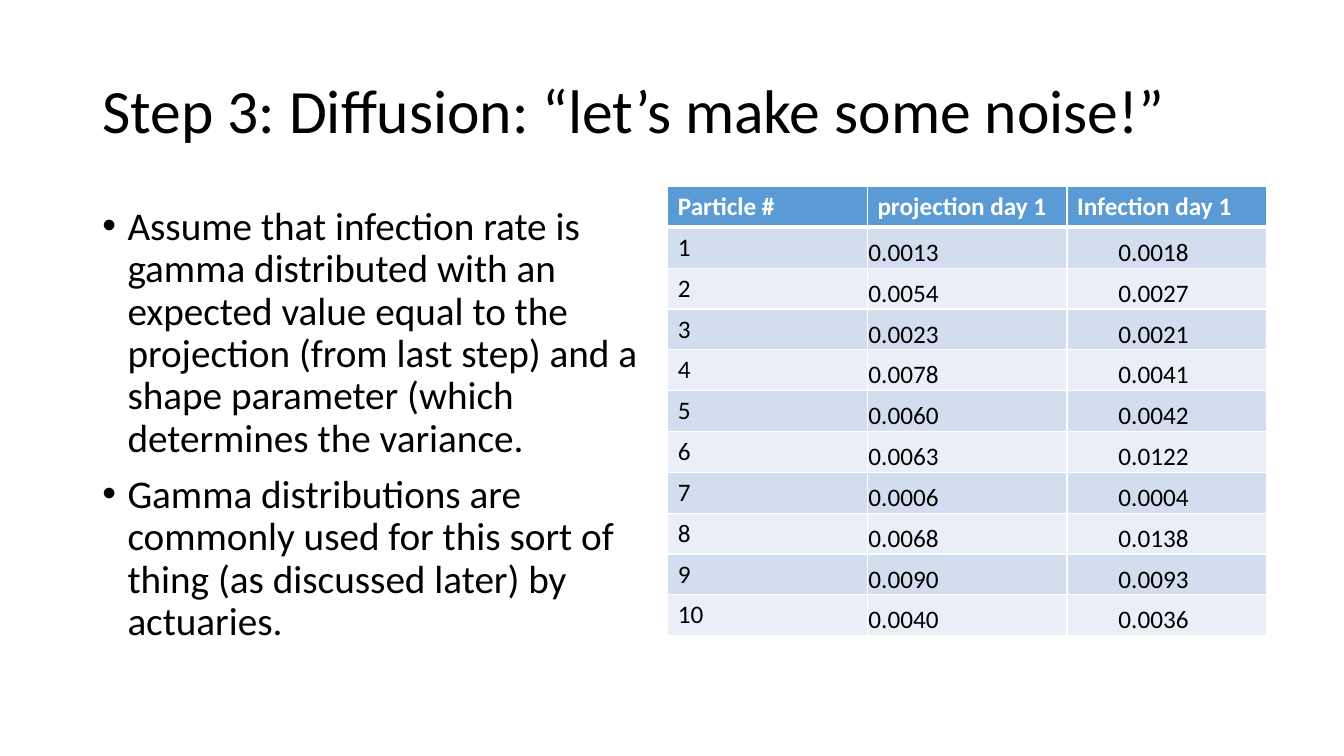
import dataclasses

import lxml.etree
import pptx
import pptx.dml.color
import pptx.enum.text
import pptx.oxml.ns
import pptx.util

ANCHOR = pptx.enum.text.MSO_ANCHOR


@dataclasses.dataclass(frozen=True)
class Theme:
    font: str = "Calibri"
    ink: str = "000000"
    paper: str = "FFFFFF"
    header: str = "5B9BD5"
    bands: tuple = ("D2DEEF", "EAEFF7")
    title_size: int = 44
    body_size: int = 28
    table_size: int = 18
    border: int = 1
    header_border: int = 3


def apply(target, formats):
    for name, value in formats.items():
        setattr(target, name, value)


def add_xml(parent, tag, **attributes):
    return lxml.etree.SubElement(parent, pptx.oxml.ns.qn(tag), attributes)


class Page:
    """One slide on a grid of 160 columns by 90 rows."""

    def __init__(self, deck, theme):
        self.theme = theme
        self.column = deck.slide_width / 160
        self.row = deck.slide_height / 90
        self.slide = deck.slides.add_slide(deck.slide_layouts[6])
        self.slide.background.fill.solid()
        self.slide.background.fill.fore_color.rgb = self.color(theme.paper)

    def color(self, value):
        return pptx.dml.color.RGBColor.from_string(value)

    def place(self, left, top, width, height):
        return (round(left * self.column), round(top * self.row),
                round(width * self.column), round(height * self.row))

    def add_span(self, para, text, size, color, bold=False):
        span = para.add_run()
        span.text = text
        apply(span.font, {"name": self.theme.font, "size": pptx.util.Pt(size), "bold": bold})
        span.font.color.rgb = self.color(color)

    def text(self, area, lines, size, anchor=ANCHOR.TOP, bullet=False):
        frame = self.slide.shapes.add_textbox(*self.place(*area)).text_frame
        apply(frame, {"word_wrap": True, "vertical_anchor": anchor})
        for index, line in enumerate(lines):
            para = frame.add_paragraph() if index else frame.paragraphs[0]
            apply(para, {"line_spacing": 0.9, "space_before": pptx.util.Pt(10 if index else 0)})
            if bullet:
                properties = para._p.get_or_add_pPr()
                indent = pptx.util.Inches(0.25)
                properties.set("marL", str(indent))
                properties.set("indent", str(-indent))
                add_xml(properties, "a:buFont", typeface="Arial")
                add_xml(properties, "a:buChar", char="•")
            self.add_span(para, line, size, self.theme.ink)

    def borders(self, cell, **widths):
        properties = cell._tc.get_or_add_tcPr()
        for side in "LRTB":
            width = pptx.util.Pt(widths.get(side, self.theme.border))
            line = add_xml(properties, f"a:ln{side}", w=str(width))
            add_xml(add_xml(line, "a:solidFill"), "a:srgbClr", val=self.theme.paper)

    def table(self, area, records):
        theme = self.theme
        place = self.place(*area)
        table = self.slide.shapes.add_table(len(records), len(records[0]), *place).table
        apply(table, {"first_row": True, "horz_banding": True})
        inset = pptx.util.Inches(0.01)
        figure = {"vertical_anchor": ANCHOR.BOTTOM, "margin_left": inset,
                  "margin_right": inset, "margin_top": inset, "margin_bottom": 0}
        for row, record in enumerate(records):
            table.rows[row].height = round(place[3] / len(records))
            for column, value in enumerate(record):
                cell = table.cell(row, column)
                para = cell.text_frame.paragraphs[0]
                # Header and bands
                heavy = {0: {"B": theme.header_border}, 1: {"T": theme.header_border}}
                self.borders(cell, **heavy.get(row, {}))
                cell.fill.solid()
                fill = theme.bands[(row - 1) % 2] if row else theme.header
                cell.fill.fore_color.rgb = self.color(fill)
                # Figures sit low in the cell, the last column is indented
                if row and column:
                    apply(cell, figure)
                if row and column == 2:
                    para.level = 1
                    para._p.get_or_add_pPr().set("marL", str(pptx.util.Inches(0.5)))
                self.add_span(para, value, theme.table_size,
                              theme.ink if row else theme.paper, bold=not row)


PROJECTIONS = (0.0013, 0.0054, 0.0023, 0.0078, 0.0060, 0.0063, 0.0006, 0.0068, 0.0090, 0.0040)
INFECTIONS = (0.0018, 0.0027, 0.0021, 0.0041, 0.0042, 0.0122, 0.0004, 0.0138, 0.0093, 0.0036)


def main():
    deck = pptx.Presentation()
    apply(deck, {"slide_width": pptx.util.Inches(13.33), "slide_height": pptx.util.Inches(7.5)})
    theme = Theme()
    page = Page(deck, theme)

    # Title
    page.text((11, 4.8, 138, 17.4), ["Step 3: Diffusion: “let’s make some noise!”"],
              theme.title_size, anchor=ANCHOR.MIDDLE)

    # Explanation
    page.text((11, 24, 68, 57), [
        "Assume that infection rate is gamma distributed with an expected value equal to the "
        "projection (from last step) and a shape parameter (which determines the variance.",
        "Gamma distributions are commonly used for this sort of thing (as discussed later) "
        "by actuaries.",
    ], theme.body_size, bullet=True)

    # Particles
    particles = [(str(number), f"{projection:.4f}", f"{infection:.4f}")
                 for number, (projection, infection)
                 in enumerate(zip(PROJECTIONS, INFECTIONS), start=1)]
    page.table((79.5, 22.2, 71.3, 53.5),
               [("Particle #", "projection day 1", "Infection day 1"), *particles])

    deck.save("out.pptx")


if __name__ == "__main__":
    main()
